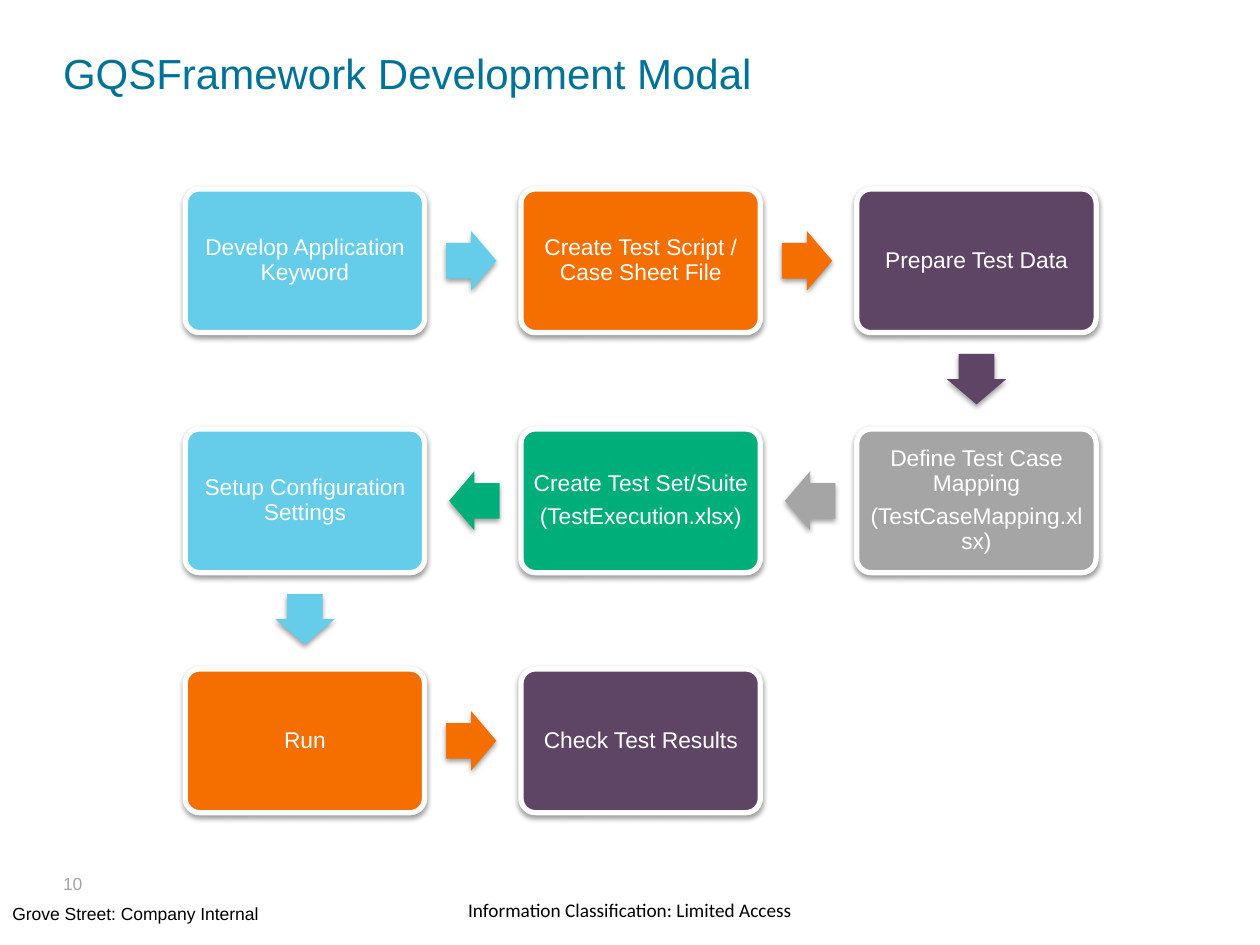
import dataclasses

import pptx
import pptx.dml.color
import pptx.enum.shapes
import pptx.enum.text
import pptx.oxml
import pptx.oxml.ns
import pptx.util

Inches = pptx.util.Inches
Pt = pptx.util.Pt
Align = pptx.enum.text.PP_ALIGN
Anchor = pptx.enum.text.MSO_ANCHOR
Preset = pptx.enum.shapes.MSO_SHAPE


@dataclasses.dataclass(frozen=True)
class Theme:
    """Colours, fonts and type sizes of the slide."""
    title: str = "007298"
    black: str = "000000"
    white: str = "FFFFFF"
    sky: str = "65CCE9"
    orange: str = "F56E00"
    plum: str = "5E4565"
    grey: str = "A5A5A5"
    green: str = "00AE79"
    font: str = "Arial"
    footer_font: str = "Calibri"
    title_size: float = 24
    step_size: float = 13
    footer_size: float = 11
    small_size: float = 10


THEME = Theme()

# Column, row, fill, paragraphs and the direction of the arrow that follows.
RIGHT, DOWN, LEFT = (1, 0, 0), (0, 1, 90), (-1, 0, 180)
STEPS = [
    (0, 0, THEME.sky, ["Develop Application Keyword"], RIGHT),
    (1, 0, THEME.orange, ["Create Test Script / Case Sheet File"], RIGHT),
    (2, 0, THEME.plum, ["Prepare Test Data"], DOWN),
    (2, 1, THEME.grey, ["Define Test Case Mapping", "(TestCaseMapping.xlsx)"], LEFT),
    (1, 1, THEME.green, ["Create Test Set/Suite", "(TestExecution.xlsx)"], LEFT),
    (0, 1, THEME.sky, ["Setup Configuration Settings"], DOWN),
    (0, 2, THEME.orange, ["Run"], RIGHT),
    (1, 2, THEME.plum, ["Check Test Results"], None),
]
CARD_WIDTH, CARD_HEIGHT = 1.9, 1.14
ARROW_LENGTH, ARROW_BREADTH, ARROW_GAP = 0.4, 0.47, 0.17


def rgb(value):
    """Turn a hex string into a colour."""
    return pptx.dml.color.RGBColor.from_string(value)


def add_run(paragraph, text, size, color, font=THEME.font):
    """Append one formatted run to a paragraph."""
    run = paragraph.add_run()
    run.text = text
    run.font.size = Pt(size)
    run.font.name = font
    run.font.color.rgb = rgb(color)


def set_frame(frame, anchor, insets):
    """Set wrapping, anchor and insets (left, top, right, bottom)."""
    frame.word_wrap = True
    frame.auto_size = pptx.enum.text.MSO_AUTO_SIZE.NONE
    frame.vertical_anchor = anchor
    (frame.margin_left, frame.margin_top,
     frame.margin_right, frame.margin_bottom) = map(Inches, insets)


def add_block(slide, preset, box, color, adjustments):
    """Add a filled preset shape with a soft shadow below it."""
    shape = slide.shapes.add_shape(preset, *map(Inches, box))
    for index, value in enumerate(adjustments):
        shape.adjustments[index] = value
    shape.fill.solid()
    shape.fill.fore_color.rgb = rgb(color)
    shape.line.fill.background()
    shape.shadow.inherit = False
    effects = shape._element.spPr.find(pptx.oxml.ns.qn("a:effectLst"))
    effects.append(pptx.oxml.parse_xml(
        f'<a:outerShdw {pptx.oxml.ns.nsdecls("a")} blurRad="{Pt(3.1)}" '
        f'dist="{Pt(1.6)}" dir="5400000" rotWithShape="0">'
        f'<a:srgbClr val="{THEME.black}"><a:alpha val="38000"/></a:srgbClr>'
        '</a:outerShdw>'))
    return shape


def add_card(slide, box, color, lines):
    """Add one rounded step with its centred text."""
    card = add_block(slide, Preset.ROUNDED_RECTANGLE, box, color, [0.1])
    card.line.color.rgb = rgb(THEME.white)
    card.line.width = Pt(3)
    frame = card.text_frame
    set_frame(frame, Anchor.MIDDLE, [0.05] * 4)
    for index, text in enumerate(lines):
        paragraph = frame.add_paragraph() if index else frame.paragraphs[0]
        paragraph.alignment = Align.CENTER
        paragraph.line_spacing = 0.9
        paragraph.space_after = Pt(5)
        add_run(paragraph, text, THEME.step_size, THEME.white)


def add_arrow(slide, card_box, color, direction):
    """Add the arrow that leaves a card in the given direction."""
    across, down, angle = direction
    left, top, width, height = card_box
    reach = ARROW_GAP + ARROW_LENGTH / 2
    center_x = left + width / 2 + across * (width / 2 + reach)
    center_y = top + height / 2 + down * (height / 2 + reach)
    box = (center_x - ARROW_LENGTH / 2, center_y - ARROW_BREADTH / 2,
           ARROW_LENGTH, ARROW_BREADTH)
    arrow = add_block(slide, Preset.RIGHT_ARROW, box, color, [0.6, 0.5])
    arrow.rotation = angle


def add_flow(slide, box):
    """Lay the steps out on a three by three grid inside the box."""
    left, top, width, height = box
    pitch_x = (width - CARD_WIDTH) / 2
    pitch_y = (height - CARD_HEIGHT) / 2
    for column, row, color, lines, direction in STEPS:
        card_box = (left + column * pitch_x, top + row * pitch_y,
                    CARD_WIDTH, CARD_HEIGHT)
        add_card(slide, card_box, color, lines)
        if direction:
            add_arrow(slide, card_box, color, direction)


def add_title(slide, box):
    """Place and fill the title placeholder."""
    title = slide.shapes.title
    title.left, title.top, title.width, title.height = map(Inches, box)
    set_frame(title.text_frame, Anchor.TOP, (0, 0.05, 0, 0))
    paragraph = title.text_frame.paragraphs[0]
    paragraph.alignment = Align.LEFT
    paragraph.line_spacing = Pt(22)
    add_run(paragraph, "GQSFramework Development Modal", THEME.title_size, THEME.title)


def add_label(slide, box, text, size, color, font=THEME.font,
              alignment=Align.LEFT, anchor=Anchor.TOP, inset=0.1):
    """Add a single line of footer text."""
    label = slide.shapes.add_textbox(*map(Inches, box))
    set_frame(label.text_frame, anchor, (inset, 0.05, 0.1, 0.05))
    paragraph = label.text_frame.paragraphs[0]
    paragraph.alignment = alignment
    add_run(paragraph, text, size, color, font)


def add_footer(slide, box):
    """Add the classification, the owner line and the page number."""
    left, top, width, _ = box
    add_label(slide, (left, top + 0.2, width, 0.29),
              "Information Classification: Limited Access", THEME.footer_size,
              THEME.black, THEME.footer_font, Align.CENTER)
    add_label(slide, (left, top + 0.24, width, 0.27),
              "Grove Street: Company Internal", THEME.small_size, THEME.black)
    add_label(slide, (left + 0.5, top, 0.42, 0.27), "10", THEME.small_size,
              THEME.grey, anchor=Anchor.MIDDLE, inset=0)


def main():
    """Build and save the slide."""
    presentation = pptx.Presentation()
    presentation.slide_width = Inches(10)
    presentation.slide_height = Inches(7.5)
    slide = presentation.slides.add_slide(presentation.slide_layouts[5])
    add_title(slide, (0.5, 0.42, 9.08, 0.33))
    add_flow(slide, (1.47, 1.5, 7.23, 4.95))
    add_footer(slide, (0, 6.88, 10, 0.62))
    presentation.save("out.pptx")


main()
